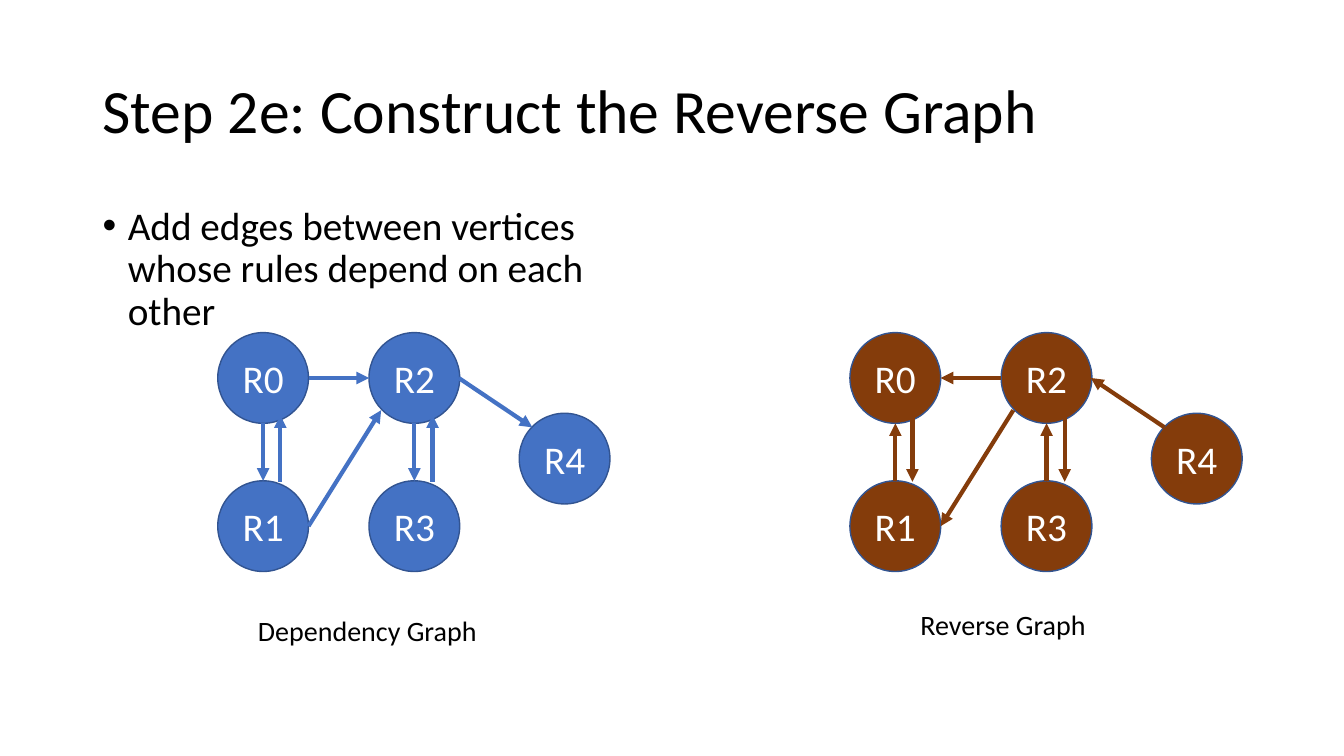
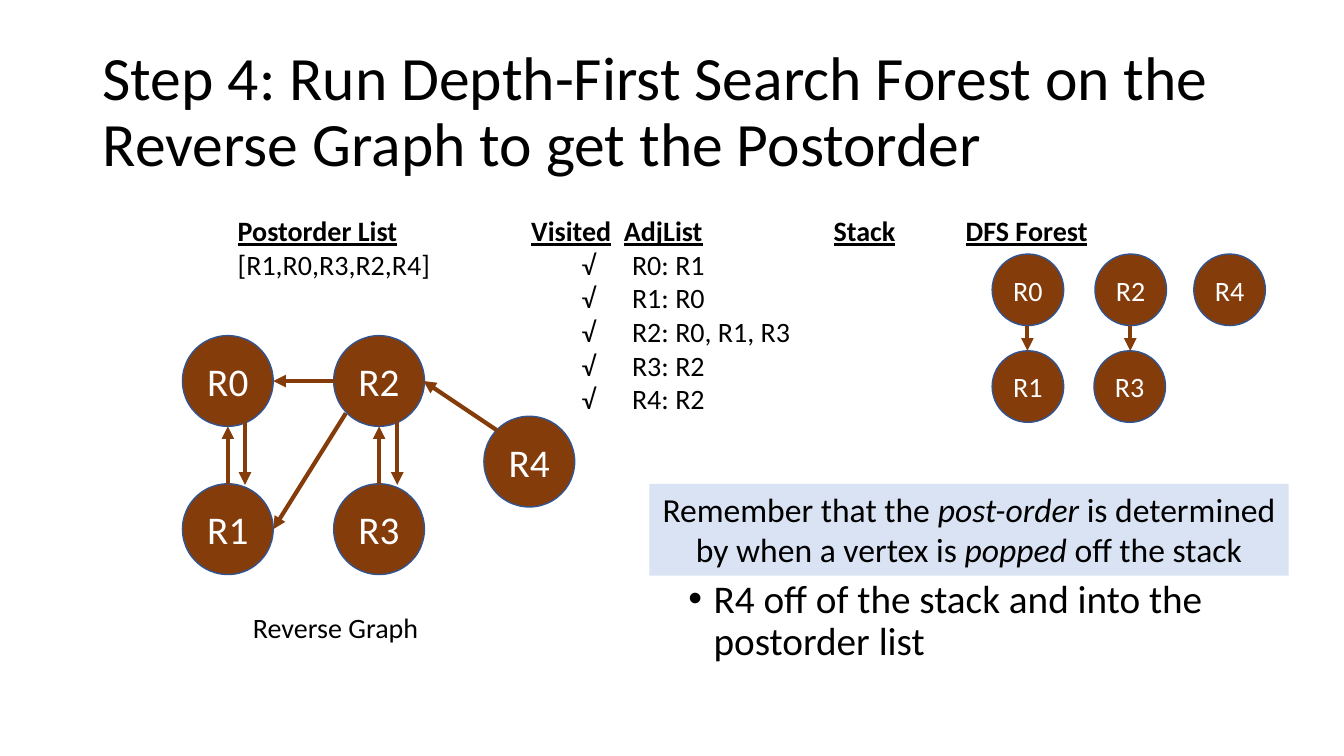
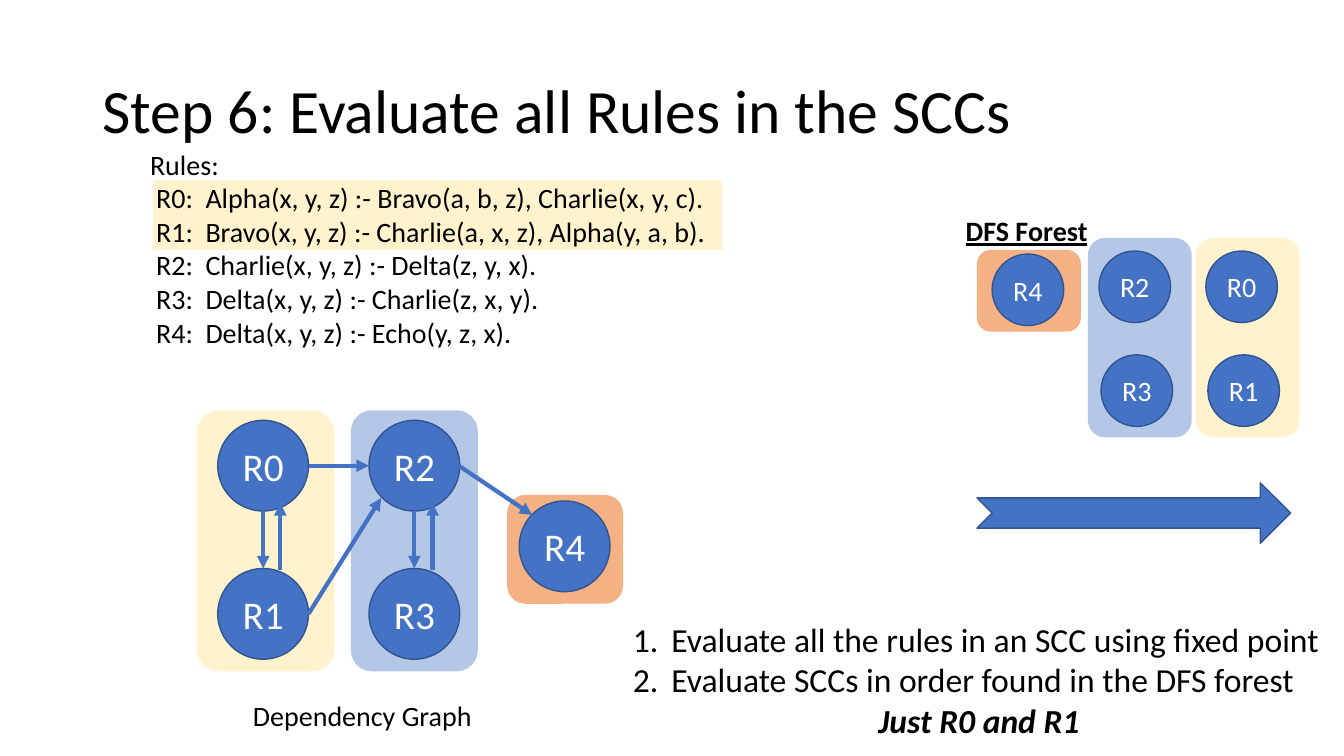
from dataclasses import dataclass
from typing import NamedTuple

from lxml.etree import SubElement
from pptx import Presentation
from pptx.dml.color import RGBColor
from pptx.enum.shapes import MSO_CONNECTOR as Connector, MSO_SHAPE as Preset
from pptx.enum.text import MSO_ANCHOR as Anchor, PP_ALIGN as Align
from pptx.oxml.ns import qn
from pptx.util import Inches, Pt

FONT = "Calibri"
BLACK, WHITE = "000000", "FFFFFF"
BLUE, BROWN, OUTLINE = "4472C4", "843C0B", "325491"
ORANGE, PALE_BLUE, YELLOW = "F4B183", "B4C7E7", "FFF2CC"
HIGHLIGHT, BANNER = "FFF3CD", "DAE3F3"
NODE_SIZE, FOREST_NODE_SIZE = 0.9, 0.71


class Box(NamedTuple):
    left: float
    top: float
    width: float
    height: float


class Node(NamedTuple):
    name: str
    left: float
    top: float


class Edge(NamedTuple):
    start: tuple[float, float]
    end: tuple[float, float]


class Run(NamedTuple):
    text: str
    bold: bool = False
    italic: bool = False
    underline: bool = False


@dataclass(frozen=True)
class Line:
    runs: tuple[Run, ...]
    align: Align = Align.LEFT
    margin: float = 0
    indent: float = 0
    bullet: str = ""
    numbered: bool = False
    spacing: float = 1.0
    before: float = 0


GRAPH_NODES = (
    Node("R0", 0, 0),
    Node("R1", 0, 1.47),
    Node("R2", 1.5, 0),
    Node("R3", 1.5, 1.47),
    Node("R4", 2.99, 0.8),
)
GRAPH_EDGES = (
    Edge((0.45, 0.9), (0.45, 1.47)),
    Edge((0.9, 0.45), (1.5, 0.45)),
    Edge((0.62, 1.48), (0.62, 0.82)),
    Edge((0.9, 1.92), (1.62, 0.77)),
    Edge((1.95, 0.9), (1.95, 1.47)),
    Edge((2.13, 1.48), (2.13, 0.82)),
    Edge((2.39, 0.45), (3.12, 0.94)),
)


def colour(value: str) -> RGBColor:
    return RGBColor.from_string(value)


def plain(text: str, **layout) -> Line:
    return Line((Run(text),), **layout)


def heading(text: str, **layout) -> Line:
    return Line((Run(text, bold=True, underline=True),), **layout)


def write_text(shape, lines, *, size=20, text_colour=BLACK, anchor=Anchor.TOP,
               wrap=False, inset=(0.1, 0.05)) -> None:
    frame = shape.text_frame
    frame.word_wrap = wrap
    frame.vertical_anchor = anchor
    frame.margin_left = frame.margin_right = Inches(inset[0])
    frame.margin_top = frame.margin_bottom = Inches(inset[1])
    for index, line in enumerate(lines):
        paragraph = frame.add_paragraph() if index else frame.paragraphs[0]
        paragraph.alignment = line.align
        paragraph.line_spacing = line.spacing
        paragraph.space_before = Pt(line.before)
        properties = paragraph._p.get_or_add_pPr()
        properties.set("marL", str(Inches(line.margin)))
        properties.set("indent", str(Inches(line.indent)))
        if line.bullet:
            SubElement(properties, qn("a:buFont"), typeface="Arial")
            SubElement(properties, qn("a:buChar"), char=line.bullet)
        elif line.numbered:
            SubElement(properties, qn("a:buAutoNum"), type="arabicPeriod")
        for item in line.runs:
            run = paragraph.add_run()
            run.text = item.text
            font = run.font
            font.name, font.size = FONT, Pt(size)
            font.bold, font.italic, font.underline = item.bold, item.italic, item.underline
            font.color.rgb = colour(text_colour)


def add_text(slide, box: Box, *lines: Line, **text_format):
    shape = slide.shapes.add_textbox(*map(Inches, box))
    write_text(shape, lines, **text_format)
    return shape


def add_title(slide, text: str) -> None:
    add_text(slide, Box(0.92, 0.4, 11.5, 1.45), plain(text, spacing=0.9),
             size=44, anchor=Anchor.MIDDLE, wrap=True)


def add_bullet(slide, left: float, top: float, text: str) -> None:
    line = plain(text, margin=0.25, indent=-0.25, bullet="•", spacing=0.9, before=10)
    add_text(slide, Box(left, top, 5.53, 1.4), line, size=28, wrap=True)


def add_block(slide, preset: Preset, box: Box, fill: str, outline: str = ""):
    shape = slide.shapes.add_shape(preset, *map(Inches, box))
    shape.shadow.inherit = False
    shape.fill.solid()
    shape.fill.fore_color.rgb = colour(fill)
    if outline:
        shape.line.color.rgb = colour(outline)
        shape.line.width = Pt(1)
    else:
        shape.line.fill.background()
    return shape


def add_node(slide, node: Node, diameter: float, size: int, fill: str) -> None:
    box = Box(node.left, node.top, diameter, diameter)
    shape = add_block(slide, Preset.OVAL, box, fill, OUTLINE)
    write_text(shape, [plain(node.name, align=Align.CENTER)], size=size,
               text_colour=WHITE, anchor=Anchor.MIDDLE, inset=(0, 0.05))


def add_arrow(slide, edge: Edge, line_colour: str) -> None:
    connector = slide.shapes.add_connector(
        Connector.STRAIGHT, *map(Inches, (*edge.start, *edge.end)))
    connector.line.color.rgb = colour(line_colour)
    connector.line.width = Pt(3)
    SubElement(connector.line._get_or_add_ln(), qn("a:tailEnd"), type="triangle")
    SubElement(connector._element.spPr, qn("a:effectLst"))


def add_graph(slide, left: float, top: float, *, reverse: bool = False) -> None:
    fill = BROWN if reverse else BLUE
    for node in GRAPH_NODES:
        placed = Node(node.name, left + node.left, top + node.top)
        add_node(slide, placed, NODE_SIZE, 28, fill)
    for edge in GRAPH_EDGES:
        start, end = ((left + x, top + y) for x, y in edge)
        add_arrow(slide, Edge(end, start) if reverse else Edge(start, end), fill)


def add_forest(slide, nodes: tuple[Node, ...], fill: str) -> None:
    add_text(slide, Box(9.48, 2.07, 1.42, 0.44), heading("DFS Forest"))
    for node in nodes:
        add_node(slide, node, FOREST_NODE_SIZE, 20, fill)


def add_components(slide, boxes: dict[str, Box]) -> None:
    for fill, box in boxes.items():
        add_block(slide, Preset.ROUNDED_RECTANGLE, box, fill)


def build_reverse_graph(slide) -> None:
    add_title(slide, "Step 2e: Construct the Reverse Graph")
    add_bullet(slide, 0.92, 2, "Add edges between vertices whose rules depend on each other")
    add_graph(slide, 2.16, 3.3)
    add_graph(slide, 8.43, 3.3, reverse=True)
    add_text(slide, Box(2.46, 6.04, 2.39, 0.44), plain("Dependency Graph"))
    add_text(slide, Box(9.03, 5.98, 1.86, 0.44), plain("Reverse Graph"))


def build_postorder(slide) -> None:
    add_title(slide, "Step 4: Run Depth-First Search Forest on the "
                     "Reverse Graph to get the Postorder")
    add_graph(slide, 1.81, 3.33, reverse=True)
    add_text(slide, Box(2.41, 6.01, 1.86, 0.44), plain("Reverse Graph"))
    add_text(slide, Box(2.26, 2.07, 2.13, 0.77),
             heading("Postorder List"), plain("[R1,R0,R3,R2,R4]"))
    neighbours = ("R0: R1", "R1: R0", "R2: R0, R1, R3", "R3: R2", "R4: R2")
    add_text(slide, Box(5.17, 2.07, 2.79, 2.12),
             heading("Visited\tAdjList", margin=0.92, indent=-0.92),
             *(plain(f"√\t{entry}", margin=1, indent=-0.5) for entry in neighbours),
             wrap=True)
    add_text(slide, Box(8.17, 2.07, 0.82, 0.44), heading("Stack"))
    add_forest(slide, (Node("R0", 9.84, 2.52), Node("R1", 9.84, 3.48),
                       Node("R2", 10.86, 2.52), Node("R3", 10.85, 3.48),
                       Node("R4", 11.84, 2.52)), BROWN)
    for x in (10.19, 11.21):
        add_arrow(slide, Edge((x, 3.23), (x, 3.48)), BROWN)
    add_bullet(slide, 6.73, 5.7, "R4 off of the stack and into the postorder list")
    banner = add_block(slide, Preset.RECTANGLE, Box(6.44, 4.8, 6.34, 0.91), BANNER)
    reminder = (
        (Run("Remember that the "), Run("post-order", italic=True), Run(" is determined")),
        (Run("by when a vertex is "), Run("popped", italic=True), Run(" off the stack")),
    )
    write_text(banner, [Line(runs, align=Align.CENTER) for runs in reminder], size=24)


def build_evaluation(slide) -> None:
    add_block(slide, Preset.RECTANGLE, Box(1.52, 1.79, 5.64, 0.69), HIGHLIGHT)
    rules = (
        "Alpha(x, y, z) :- Bravo(a, b, z), Charlie(x, y, c).",
        "Bravo(x, y, z) :- Charlie(a, x, z), Alpha(y, a, b).",
        "Charlie(x, y, z) :- Delta(z, y, x).",
        "Delta(x, y, z) :- Charlie(z, x, y).",
        "Delta(x, y, z) :- Echo(y, z, x).",
    )
    add_text(slide, Box(1.39, 1.41, 5.76, 2.12), plain("Rules:"),
             *(plain(f"R{number}:\t{rule}", margin=0.55, indent=-0.49)
               for number, rule in enumerate(rules)),
             wrap=True)
    add_components(slide, {ORANGE: Box(5.03, 4.91, 1.15, 1.08),
                           PALE_BLUE: Box(3.48, 4.07, 1.26, 2.59),
                           YELLOW: Box(1.95, 4.07, 1.37, 2.59)})
    add_title(slide, "Step 6: Evaluate all Rules in the SCCs")
    add_text(slide, Box(2.41, 6.88, 2.39, 0.44), plain("Dependency Graph"))
    add_graph(slide, 2.16, 4.17)
    add_components(slide, {ORANGE: Box(9.69, 2.48, 1.03, 0.81),
                           PALE_BLUE: Box(10.79, 2.36, 1.03, 1.98),
                           YELLOW: Box(11.86, 2.36, 1.03, 1.98)})
    add_forest(slide, (Node("R4", 9.84, 2.52),
                       Node("R2", 10.9, 2.49), Node("R3", 10.92, 3.52),
                       Node("R0", 11.96, 2.49), Node("R1", 11.98, 3.52)), BLUE)
    steps = ("Evaluate all the rules in an SCC using fixed point",
             "Evaluate SCCs in order found in the DFS forest")
    add_text(slide, Box(6.18, 6.09, 7.06, 1.31),
             *(plain(step, margin=0.38, indent=-0.38, numbered=True) for step in steps),
             Line((Run("Just R0 and R1", bold=True, italic=True),), align=Align.CENTER),
             size=24, wrap=True)
    add_block(slide, Preset.NOTCHED_RIGHT_ARROW, Box(9.69, 4.79, 3.11, 0.6), BLUE, OUTLINE)


def main() -> None:
    presentation = Presentation()
    presentation.slide_width = Inches(13.33)
    presentation.slide_height = Inches(7.5)
    blank = presentation.slide_layouts[6]
    for build in (build_reverse_graph, build_postorder, build_evaluation):
        build(presentation.slides.add_slide(blank))
    presentation.save("out.pptx")


if __name__ == "__main__":
    main()
